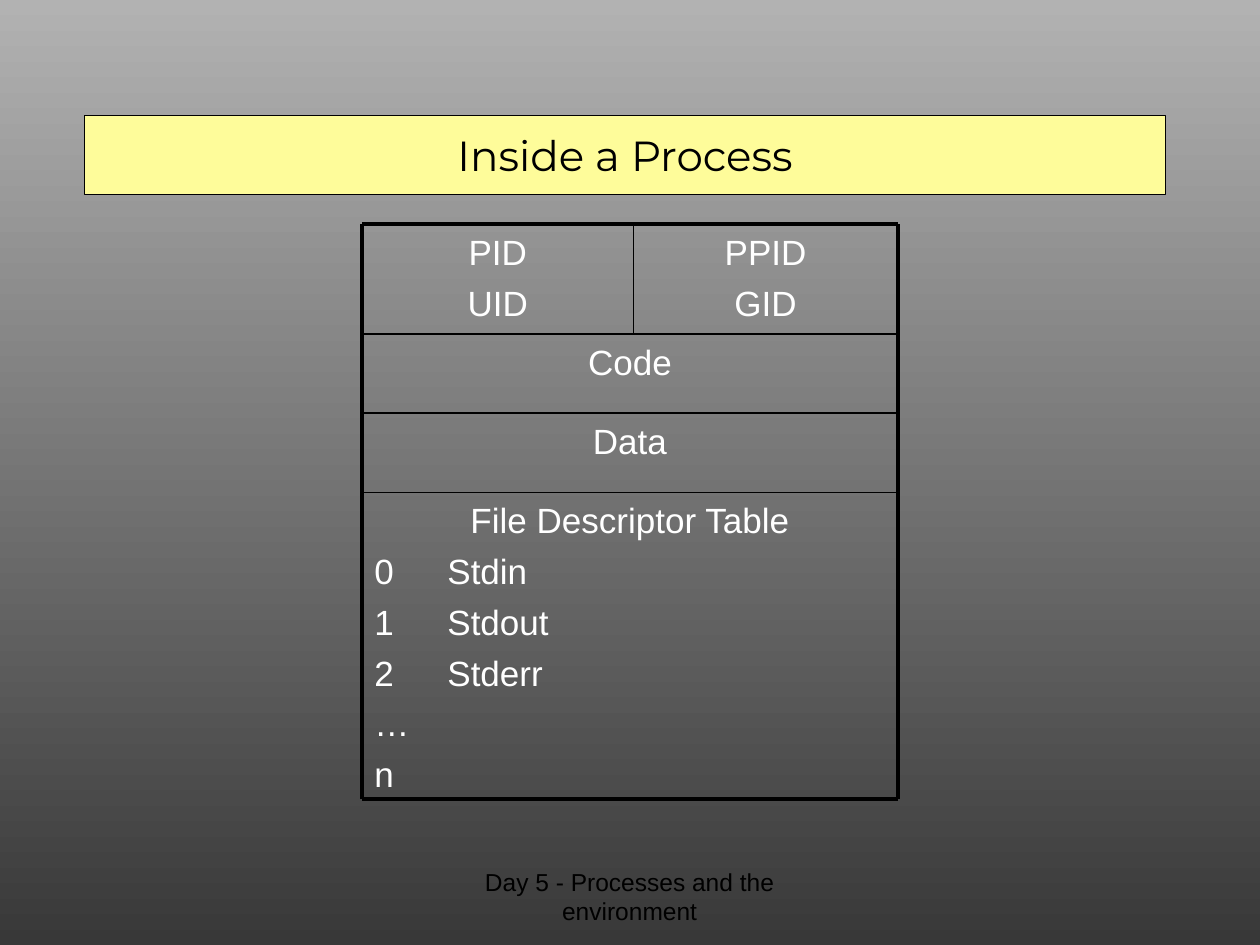
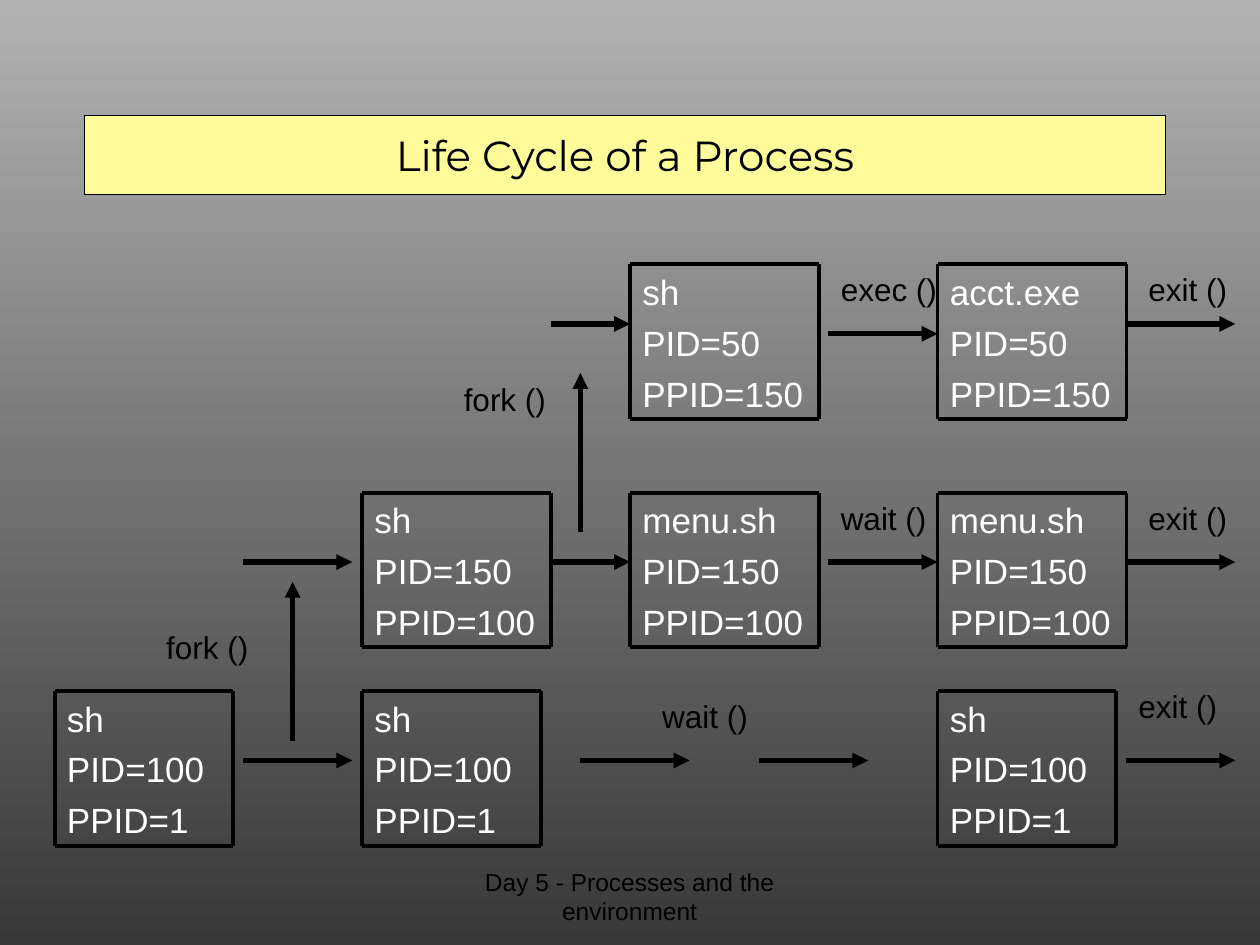
from lxml import etree
from pptx import Presentation
from pptx import util as u
from pptx.dml.color import RGBColor
from pptx.enum import shapes, text
from pptx.oxml.ns import qn

BLACK, WHITE, CREAM = "000000", "FFFFFF", "FEFC9A"
SHADES = "B2B2B2", "383838"
FONT, HEAD = "Arial", "Montserrat"
THICK, THIN = 2.25, 1
LEFT, MID = text.PP_ALIGN.LEFT, text.PP_ALIGN.CENTER
COLS = 1.1, 7.3, 12.7, 18.9
ROWS = 5.33, 9.93, 13.93
TALL = 3.12


def tint(code):
    """Turn a hex string into a colour."""
    return RGBColor.from_string(code)


def cms(*sizes):
    """Turn numbers into centimetre lengths."""
    return [u.Cm(size) for size in sizes]


def add(parent, tag, **attrs):
    """Append a drawing element with the given attributes."""
    return etree.SubElement(parent, qn(tag), {k: str(v) for k, v in attrs.items()})


def style(para, size, color=BLACK, name=FONT, align=LEFT):
    """Set the font and alignment of one paragraph."""
    para.alignment = align
    font = para.font
    font.size, font.name = u.Pt(size), name
    font.color.rgb = tint(color)


def note(slide, box, lines, size=20, color=WHITE, align=LEFT):
    """Add a text box of evenly spaced lines and return its frame."""
    frame = slide.shapes.add_textbox(*cms(*box)).text_frame
    frame.word_wrap = True
    frame.text = "\n".join(lines)
    for i, para in enumerate(frame.paragraphs):
        para.space_before = u.Pt(5 if i else 0)
        style(para, size, color, FONT, align)
    return frame


def rule(slide, x, y, dx, dy, width=THIN):
    """Draw a straight line from a point by an offset."""
    line = slide.shapes.add_connector(
        shapes.MSO_CONNECTOR.STRAIGHT, *cms(x, y, x + dx, y + dy))
    line.line.color.rgb = tint(BLACK)
    line.line.width = u.Pt(width)
    add(line._element.spPr, "a:effectLst")
    return line


def edge(slide, box):
    """Draw the four thick sides of a box."""
    x, y, wide, tall = box
    for down in (0, tall):
        rule(slide, x, y + down, wide, 0, THICK)
    for over in (0, wide):
        rule(slide, x + over, y, 0, tall, THICK)


def arrow(slide, x, y, dx, dy=0):
    """Draw a heavy line with a triangle at its end."""
    line = rule(slide, x, y, dx, dy, 3)
    add(line._element.spPr.find(qn("a:ln")), "a:tailEnd", type="triangle")


def start(deck, title):
    """Add a slide with its title band and footer."""
    slide = deck.slides.add_slide(deck.slide_layouts[5])
    band = slide.shapes.title
    band.left, band.top, band.width, band.height = cms(1.7, 2.33, 21.8, 1.59)
    band.fill.solid()
    band.fill.fore_color.rgb = tint(CREAM)
    band.line.color.rgb = tint(BLACK)
    band.line.width = u.Pt(0.75)
    frame = band.text_frame
    frame.text = title
    frame.auto_size = text.MSO_AUTO_SIZE.NONE
    frame.word_wrap = False
    frame.vertical_anchor = text.MSO_ANCHOR.MIDDLE
    style(frame.paragraphs[0], 24, BLACK, HEAD, MID)
    note(slide, (8.68, 17.35, 8.03, 1.32),
         ["Day 5 - Processes and the environment"], 14, BLACK, MID)
    return slide


def files(slide, box):
    """Place the file descriptor list in its box."""
    frame = note(slide, box, ["File Descriptor Table", "0\tStdin", "Stdout",
                              "Stderr", "…", "n"])
    indent = u.Cm(1.47)
    for i, para in enumerate(frame.paragraphs):
        props = para._p.get_or_add_pPr()
        props.set("marL", str(indent))
        props.set("indent", str(-indent))
        for old in props.findall(qn("a:defRPr")):
            props.remove(old)
        if i in (2, 3):
            add(add(props, "a:buClr"), "a:srgbClr", val=WHITE)
            add(props, "a:buFont", typeface=FONT)
            add(props, "a:buAutoNum", type="arabicPlain")
        add(add(props, "a:tabLst"), "a:tab", pos=indent, algn="l")
        style(para, 20, WHITE, FONT, LEFT if i else MID)


def inside(slide, box):
    """Draw the parts of a process as stacked cells."""
    x, y, wide, tall = box
    split, top, step = 5.47, 2.21, 1.6
    note(slide, (x, y, split, top), ["PID", "UID"], align=MID)
    note(slide, (x + split, y, wide - split, top), ["PPID", "GID"], align=MID)
    for i, name in enumerate(["Code", "Data"]):
        note(slide, (x, y + top + i * step, wide, step), [name], align=MID)
    used = top + 2 * step
    files(slide, (x, y + used, wide, tall - used))
    for i in range(3):
        rule(slide, x, y + top + i * step, wide, 0)
    rule(slide, x + split, y, 0, top)
    edge(slide, box)


def task(slide, col, row, name, pid, parent):
    """Draw one process box in the grid."""
    box = COLS[col], ROWS[row], 3.6 if row == 2 else 3.81, TALL
    note(slide, box, [name, f"PID={pid}", f"PPID={parent}"])
    edge(slide, box)


def cycle(slide):
    """Draw the process grid with its arrows and calls."""
    tasks = [(0, 2, "sh", 100, 1), (1, 2, "sh", 100, 1),
             (1, 1, "sh", 150, 100), (2, 1, "menu.sh", 150, 100),
             (2, 0, "sh", 50, 150), (3, 2, "sh", 100, 1),
             (3, 1, "menu.sh", 150, 100), (3, 0, "acct.exe", 50, 150)]
    for item in tasks:
        task(slide, *item)
    high, mid, low = 6.53, 11.33, 15.33
    for x, y in [(4.9, low), (11.7, low), (15.3, low), (22.7, low),
                 (22.7, mid), (22.7, high), (16.7, mid), (16.7, 6.73),
                 (4.9, mid)]:
        arrow(slide, x, y, 2.2)
    for y in (high, mid):
        arrow(slide, 11.1, y, 1.6)
    for x, y in [(5.9, 14.93), (11.7, 10.72)]:
        arrow(slide, x, y, 0, -3.2)
    for x, y, wide, call in [
            (3.1, 12.53, 2.2, "fork"), (13.1, 13.92, 3.4, "wait"),
            (9.1, 7.53, 2.2, "fork"), (16.7, 5.32, 2.6, "exec"),
            (16.7, 9.93, 2.6, "wait"), (22.9, 5.32, 2.5, "exit"),
            (22.9, 9.93, 2.5, "exit"), (22.7, 13.72, 2.3, "exit")]:
        note(slide, (x, y, wide, 1.02), [f"{call} ()"], 18, BLACK)


def main():
    """Build and save both slides."""
    deck = Presentation()
    deck.slide_width, deck.slide_height = cms(25.4, 19.05)
    fill = deck.slide_master.background.fill
    fill.gradient()
    fill.gradient_angle = 270
    for stop, code in zip(fill.gradient_stops, SHADES):
        stop.color.rgb = tint(code)
    inside(start(deck, "Inside a Process"), (COLS[1], 4.52, 10.8, 11.58))
    cycle(start(deck, "Life Cycle of a Process"))
    deck.save("out.pptx")


if __name__ == "__main__":
    main()
